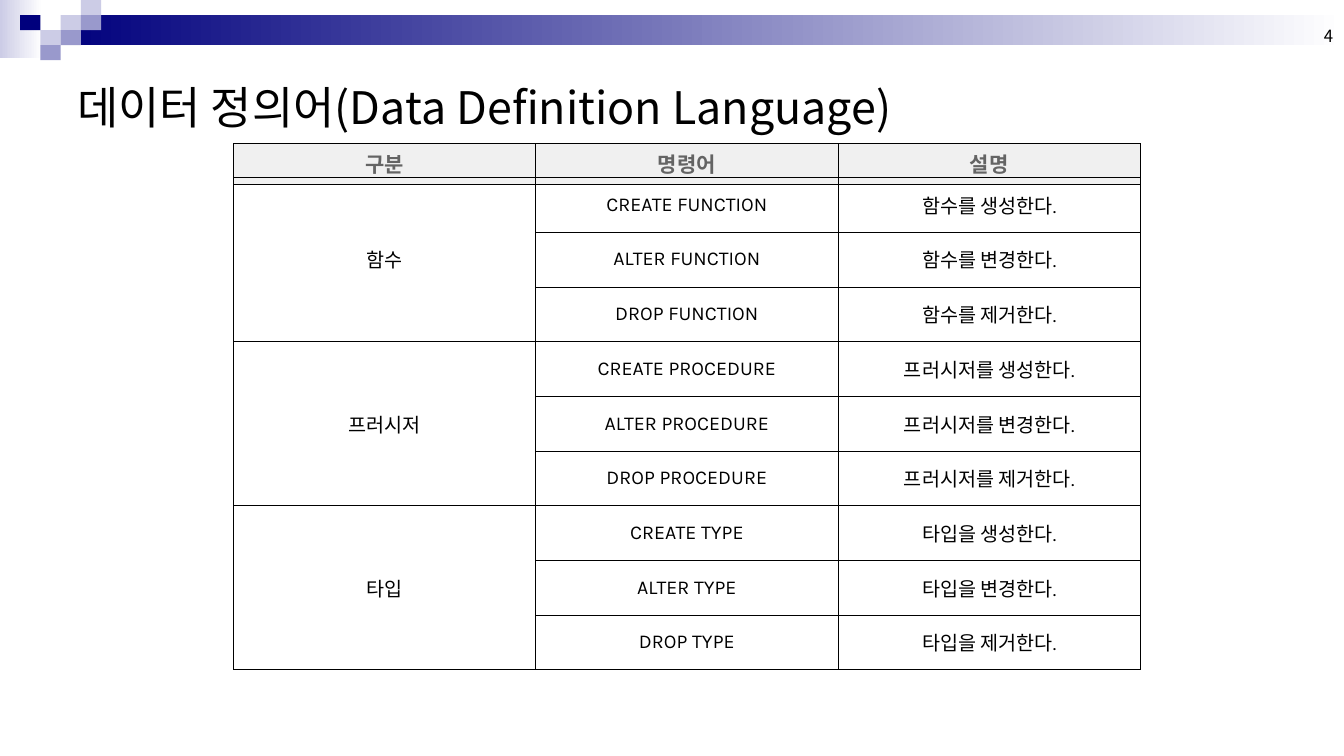
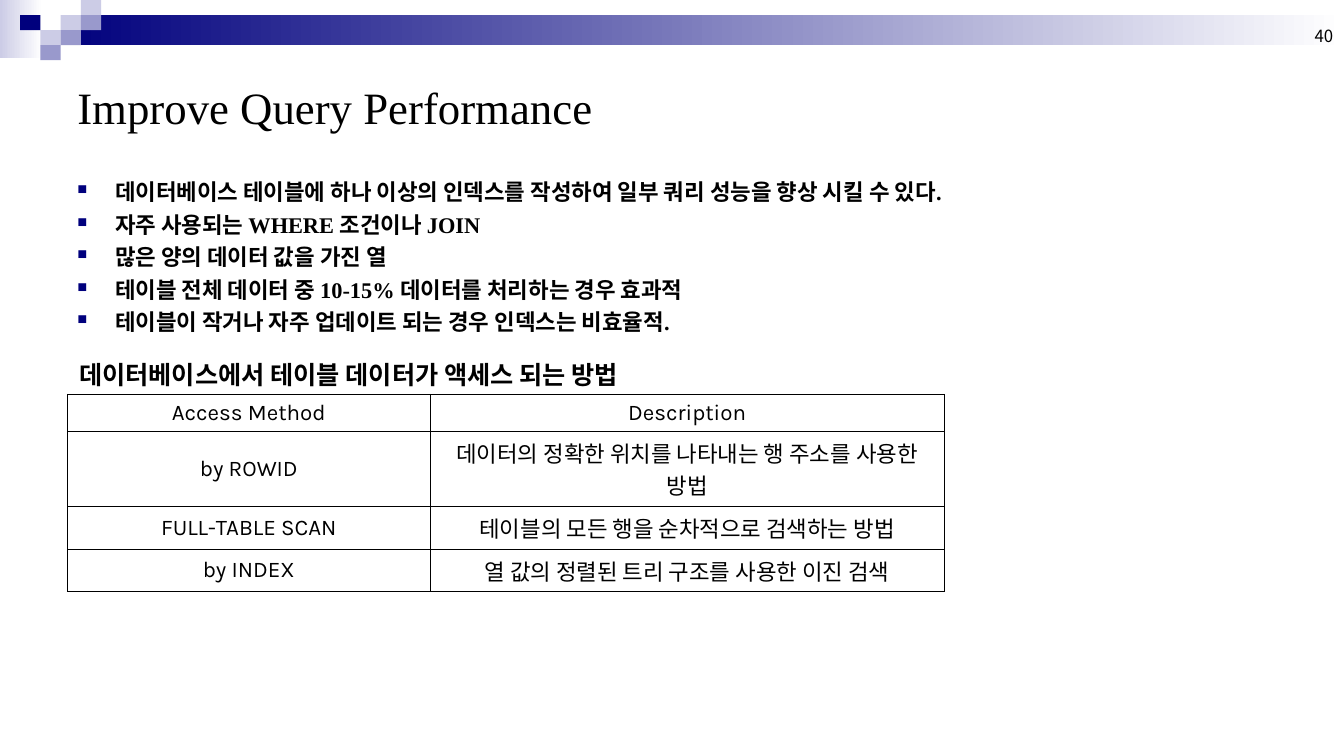
from dataclasses import dataclass

from lxml import etree
from pptx import Presentation
from pptx import util as u
from pptx.dml import color
from pptx.enum import shapes, text
from pptx.oxml import ns


@dataclass(frozen=True)
class Theme:
    navy: str = "00007D"
    lilac: str = "9999CC"
    pale: str = "CCCCE6"
    white: str = "FFFFFF"
    ink: str = "000000"
    header_fill: str = "F0F0F0"
    header_ink: str = "646464"
    sans: str = "Noto Sans CJK KR"
    serif: str = "Times New Roman"
    cell_font: str = "Karla"
    title_size: float = 32
    caption_size: float = 18
    body_size: float = 16
    header_size: float = 15
    command_size: float = 14
    number_size: float = 12


@dataclass(frozen=True)
class Box:
    left: float
    top: float
    width: float
    height: float

    def lengths(self):
        return [u.Cm(n) for n in (self.left, self.top, self.width, self.height)]


THEME = Theme()


@dataclass(frozen=True)
class Style:
    size: float
    font: str
    ink: str = THEME.ink
    bold: bool = False


PAGE = Box(0, 0, 33.88, 19.05)
TITLE = Box(1.7, 1.27, 30.48, 2.84)
NUMBER = Box(25.96, 0, 7.9, 1.27)
ALIGN = text.PP_ALIGN
ANCHOR = text.MSO_ANCHOR


def rgb(code):
    return color.RGBColor.from_string(code)


def add_element(parent, tag, **attributes):
    return etree.SubElement(parent, ns.qn(tag), attributes)


def style_para(para, style, align=ALIGN.LEFT):
    para.alignment = align
    para.space_before = u.Pt(0)
    for span in para.runs:
        span.font.size = u.Pt(style.size)
        span.font.bold = style.bold
        span.font.color.rgb = rgb(style.ink)
        span.font.name = style.font
        add_element(span._r.get_or_add_rPr(), "a:ea", typeface=THEME.sans)


def add_text(page, box, lines, style, align=ALIGN.LEFT, anchor=ANCHOR.TOP):
    frame = page.shapes.add_textbox(*box.lengths()).text_frame
    frame.word_wrap = True
    frame.vertical_anchor = anchor
    frame.text = "\n".join(lines)
    for para in frame.paragraphs:
        style_para(para, style, align)
    return frame


def add_block(page, box, start, end=None):
    block = page.shapes.add_shape(shapes.MSO_SHAPE.RECTANGLE, *box.lengths())
    block.shadow.inherit = False
    block.line.fill.background()
    if end is None:
        block.fill.solid()
        block.fill.fore_color.rgb = rgb(start)
        return
    block.fill.gradient()
    block.fill.gradient_angle = 0
    for stop, code in zip(block.fill.gradient_stops, (start, end)):
        stop.color.rgb = rgb(code)


def add_band(page, box):
    wide, tall = 0.51, 0.38
    add_block(page, Box(box.left, box.top, 1.07, 1.47), THEME.pale, THEME.white)
    add_block(page, Box(box.left + 3 * wide, box.top + tall,
                        box.width - 3 * wide, 2 * tall), THEME.navy, THEME.white)
    tiles = [(3, 1, THEME.pale), (4, 0, THEME.pale), (4, 1, THEME.lilac),
             (2, 2, THEME.pale), (1, 1, THEME.navy), (3, 2, THEME.lilac),
             (2, 3, THEME.lilac)]
    for column, row, code in tiles:
        add_block(page, Box(box.left + column * wide, box.top + row * tall,
                            wide, tall), code)


def add_page(deck, title, title_font, number):
    page = deck.slides.add_slide(deck.slide_layouts[6])
    add_band(page, PAGE)
    add_text(page, NUMBER, [number], Style(THEME.number_size, THEME.sans),
             ALIGN.RIGHT, ANCHOR.BOTTOM)
    add_text(page, TITLE, [title], Style(THEME.title_size, title_font),
             anchor=ANCHOR.MIDDLE)
    return page


def add_borders(cell, points):
    properties = cell._tc.get_or_add_tcPr()
    for index, side in enumerate(("a:lnL", "a:lnR", "a:lnT", "a:lnB")):
        line = add_element(properties, side, w=str(u.Pt(points)))
        add_element(add_element(line, "a:solidFill"), "a:srgbClr", val=THEME.ink)
        properties.insert(index, line)


def add_grid(page, box, rows, style, columns, heights=None, fill=None,
             border=0.34, inset=0.1):
    table = page.shapes.add_table(len(rows), len(columns), *box.lengths()).table
    table.first_row = table.horz_banding = False
    for column, share in zip(table.columns, columns):
        column.width = u.Cm(box.width * share / sum(columns))
    heights = heights or [1] * len(rows)
    for row, share in zip(table.rows, heights):
        row.height = u.Cm(box.height * share / sum(heights))
    for row, values in zip(table.rows, rows):
        for cell, value in zip(row.cells, values):
            cell.text = value
            cell.vertical_anchor = ANCHOR.MIDDLE
            cell.margin_left = cell.margin_right = u.Cm(inset)
            cell.margin_top = cell.margin_bottom = u.Cm(0.13)
            style_para(cell.text_frame.paragraphs[0], style, ALIGN.CENTER)
            if fill:
                cell.fill.solid()
                cell.fill.fore_color.rgb = rgb(fill)
            else:
                cell.fill.background()
            add_borders(cell, border)
    return table


def add_command_table(page, box):
    objects = [("함수", "를", "FUNCTION"), ("프러시저", "를", "PROCEDURE"),
               ("타입", "을", "TYPE")]
    actions = [("CREATE", "생성"), ("ALTER", "변경"), ("DROP", "제거")]
    rows = [(name if index == 0 else "", f"{verb} {keyword}",
             f"{name}{particle} {action}한다.")
            for name, particle, keyword in objects
            for index, (verb, action) in enumerate(actions)]
    header_height, body_offset = 1.03, 0.86
    header = Box(box.left, box.top, box.width, header_height)
    body = Box(box.left, box.top + body_offset, box.width,
               box.height - body_offset)
    columns = [1, 1, 1]
    add_grid(page, header, [("구분", "명령어", "설명")],
             Style(THEME.header_size, THEME.cell_font, THEME.header_ink, True),
             columns, fill=THEME.header_fill)
    table = add_grid(page, body, rows, Style(THEME.command_size, THEME.cell_font),
                     columns)
    for first in range(0, len(rows), len(actions)):
        table.cell(first, 0).merge(table.cell(first + len(actions) - 1, 0))


def add_bullets(page, box, lines):
    frame = add_text(page, box, lines,
                     Style(THEME.body_size, THEME.serif, bold=True))
    for para in frame.paragraphs:
        para.space_before = u.Pt(4)
        properties = para._p.get_or_add_pPr()
        properties.set("marL", str(u.Cm(0.95)))
        properties.set("indent", str(-u.Cm(0.95)))
        add_element(add_element(properties, "a:buClr"), "a:srgbClr", val=THEME.navy)
        add_element(properties, "a:buSzPct", val="60000")
        add_element(properties, "a:buChar", char="■")


def add_access_methods(page, box):
    caption_height = 1
    add_text(page, Box(box.left + 0.05, box.top, box.width, caption_height),
             ["데이터베이스에서 테이블 데이터가 액세스 되는 방법"],
             Style(THEME.caption_size, THEME.serif, bold=True))
    rows = [("Access Method", "Description"),
            ("by ROWID", "데이터의 정확한 위치를 나타내는 행 주소를 사용한 방법"),
            ("FULL-TABLE SCAN", "테이블의 모든 행을 순차적으로 검색하는 방법"),
            ("by INDEX", "열 값의 정렬된 트리 구조를 사용한 이진 검색")]
    grid = Box(box.left, box.top + caption_height, box.width,
               box.height - caption_height)
    add_grid(page, grid, rows, Style(THEME.body_size, THEME.cell_font),
             [3.6, 5.1], [0.37, 0.75, 0.42, 0.42], border=0.45, inset=0.25)


def add_definition_page(deck):
    page = add_page(deck, "데이터 정의어(Data Definition Language)", THEME.sans, "4")
    add_command_table(page, Box(5.88, 3.61, 22.87, 13.27))


def add_performance_page(deck):
    page = add_page(deck, "Improve Query Performance", THEME.serif, "40")
    add_bullets(page, Box(1.7, 4.37, 26.04, 4.4), [
        "데이터베이스 테이블에 하나 이상의 인덱스를 작성하여 일부 쿼리 성능을 향상 시킬 수 있다.",
        "자주 사용되는 WHERE 조건이나 JOIN",
        "많은 양의 데이터 값을 가진 열",
        "테이블 전체 데이터 중 10-15% 데이터를 처리하는 경우 효과적",
        "테이블이 작거나 자주 업데이트 되는 경우 인덱스는 비효율적.",
    ])
    add_access_methods(page, Box(1.7, 8.93, 22.1, 5.97))


def main():
    deck = Presentation()
    deck.slide_width, deck.slide_height = u.Cm(PAGE.width), u.Cm(PAGE.height)
    add_definition_page(deck)
    add_performance_page(deck)
    deck.save("out.pptx")


if __name__ == "__main__":
    main()
